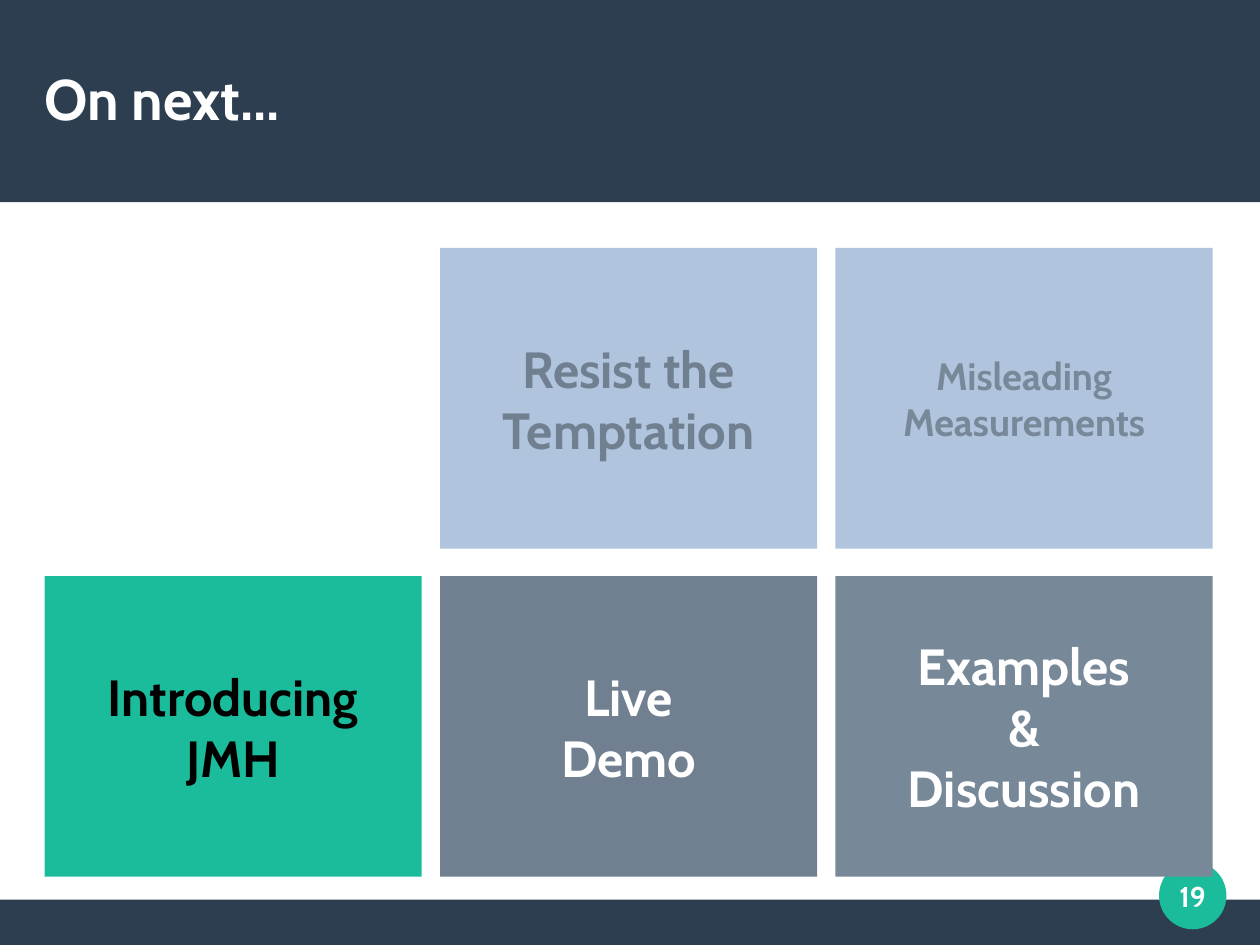
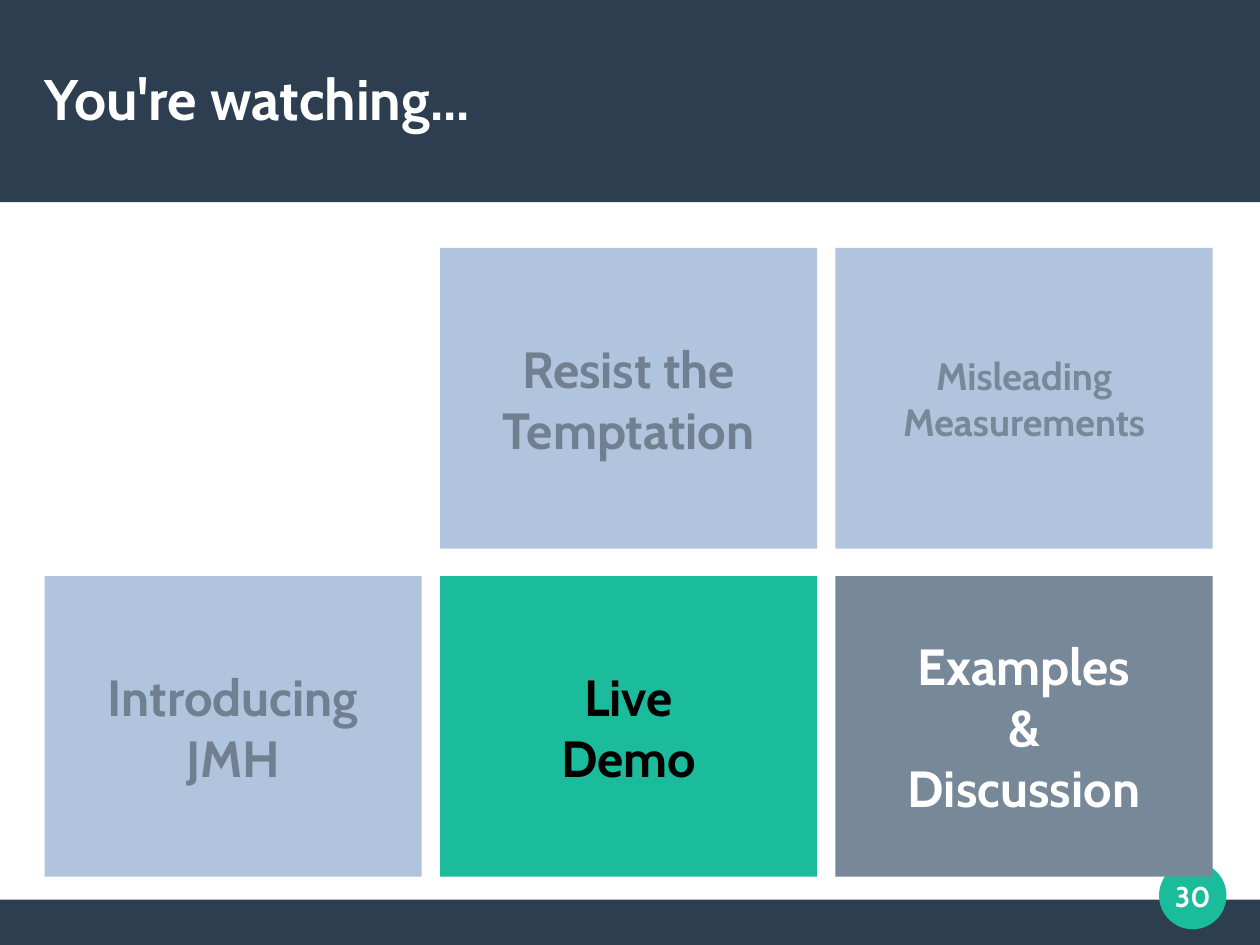
from collections import namedtuple
from dataclasses import dataclass

from pptx import Presentation
from pptx.dml.color import RGBColor
from pptx.enum.shapes import MSO_SHAPE
from pptx.enum.text import MSO_ANCHOR, PP_ALIGN
from pptx.util import Inches, Pt

Box = namedtuple("Box", "left top width height")
Topic = namedtuple("Topic", "text col row grey size")


@dataclass(frozen=True)
class Theme:
    font: str = "Cabin"
    navy: str = "2C3E50"
    teal: str = "1ABC9C"
    pale: str = "B0C4DE"
    slate: str = "708090"
    steel: str = "778899"
    white: str = "FFFFFF"
    black: str = "000000"
    title: int = 36
    large: int = 32
    medium: int = 24
    small: int = 18


THEME = Theme()
# The page is 28 by 21 centimetres.
PAGE = Box(0, 0, 28 / 2.54, 21 / 2.54)
HEAD = Box(0, 0, PAGE.width, 1.77)
FOOT = Box(0, 7.87, PAGE.width, PAGE.height - 7.87)
TITLE = Box(0.39, 0.38, 10.24, 0.95)
BADGE = Box(10.14, 7.54, 0.59, 0.59)
NUMBER = Box(10.04, 7.44, 0.79, 0.79)
GRID = Box(0.39, 2.17, 10.22, 5.5)
TILE = (3.3, 2.63)

# Agenda order; each grey fills a coming tile and colours the text of a past one.
TOPICS = [
    Topic("Resist the\nTemptation", 1, 0, THEME.slate, THEME.large),
    Topic("Misleading Measurements", 2, 0, THEME.steel, THEME.medium),
    Topic("Introducing\nJMH", 0, 1, THEME.slate, THEME.large),
    Topic("Live\nDemo", 1, 1, THEME.slate, THEME.large),
    Topic("Examples\n&\nDiscussion", 2, 1, THEME.steel, THEME.large),
]
SLIDES = [("On next...", 2, 19), ("You're watching...", 3, 30)]


def lengths(box):
    return [Inches(value) for value in box]


def add_block(slide, box, fill, kind=MSO_SHAPE.RECTANGLE):
    shape = slide.shapes.add_shape(kind, *lengths(box))
    shape.shadow.inherit = False
    shape.fill.solid()
    shape.fill.fore_color.rgb = RGBColor.from_string(fill)
    shape.line.fill.background()
    return shape


def write(shape, text, size, color, align=PP_ALIGN.CENTER):
    frame = shape.text_frame
    layout = {
        "word_wrap": True,
        "vertical_anchor": MSO_ANCHOR.MIDDLE,
        "margin_left": 0,
        "margin_right": 0,
        "margin_top": 0,
        "margin_bottom": 0,
    }
    for name, value in layout.items():
        setattr(frame, name, value)
    para = frame.paragraphs[0]
    para.text = text
    para.alignment = align
    style = {"name": THEME.font, "size": Pt(size), "bold": True}
    for run in para.runs:
        for name, value in style.items():
            setattr(run.font, name, value)
        run.font.color.rgb = RGBColor.from_string(color)


def add_label(slide, box, *style):
    write(slide.shapes.add_textbox(*lengths(box)), *style)


def add_frame(slide, title):
    """Place the bands, the badge disc and the title."""
    add_block(slide, FOOT, THEME.navy)
    add_block(slide, HEAD, THEME.navy)
    add_block(slide, BADGE, THEME.teal, MSO_SHAPE.OVAL)
    add_label(slide, TITLE, title, THEME.title, THEME.white, PP_ALIGN.LEFT)


def add_agenda(slide, box, current):
    """Fill the box with topic tiles: past, current and coming."""
    width, height = TILE
    step_x = (box.width - width) / 2
    step_y = box.height - height
    for index, topic in enumerate(TOPICS):
        if index < current:
            fill, color = THEME.pale, topic.grey
        elif index == current:
            fill, color = THEME.teal, THEME.black
        else:
            fill, color = topic.grey, THEME.white
        place = Box(box.left + topic.col * step_x,
                    box.top + topic.row * step_y, width, height)
        write(add_block(slide, place, fill), topic.text, topic.size, color)


def add_slide(deck, title, current, number):
    slide = deck.slides.add_slide(deck.slide_layouts[6])
    add_frame(slide, title)
    add_agenda(slide, GRID, current)
    add_label(slide, NUMBER, str(number), THEME.small, THEME.white)


def main():
    deck = Presentation()
    deck.slide_width = Inches(PAGE.width)
    deck.slide_height = Inches(PAGE.height)
    for entry in SLIDES:
        add_slide(deck, *entry)
    deck.save("out.pptx")


if __name__ == "__main__":
    main()
